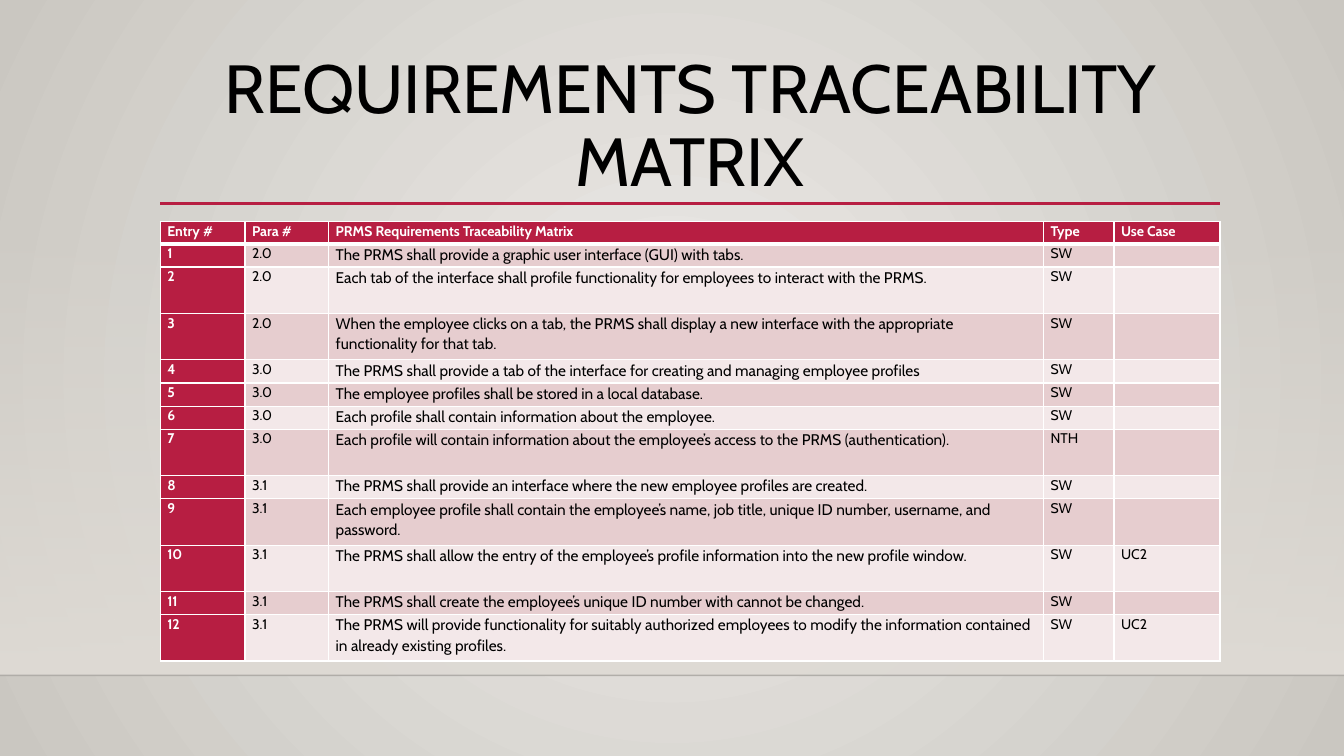
from lxml.etree import SubElement
from pptx import Presentation
from pptx.dml.color import RGBColor
from pptx.enum.shapes import MSO_CONNECTOR, MSO_SHAPE
from pptx.enum.text import MSO_ANCHOR, PP_ALIGN
from pptx.oxml.ns import qn
from pptx.util import Inches, Pt

FONT = "Cabin"
BLACK = RGBColor(0x00, 0x00, 0x00)
WHITE = RGBColor(0xFF, 0xFF, 0xFF)
CRIMSON = RGBColor(0xB7, 0x1E, 0x42)
ROSE = RGBColor(0xE6, 0xCD, 0xCF)
PALE_ROSE = RGBColor(0xF3, 0xE8, 0xE9)
SAND = RGBColor(0xDF, 0xDB, 0xD5)
BACKDROP_CENTER = RGBColor(0xEC, 0xEA, 0xE7)
BACKDROP_EDGE = RGBColor(0xCA, 0xC7, 0xC1)

SLIDE_WIDTH, SLIDE_HEIGHT = 13.33, 7.5
FLOOR_TOP = 6.7
CONTENT_LEFT, CONTENT_WIDTH = 1.59, 10.51

COLUMN_WIDTHS = [0.84, 0.83, 7.09, 0.7, 1.05]
STATEMENT_COLUMN = 2
HEADER_HEIGHT, SINGLE, DOUBLE = 0.22, 0.23, 0.46
HEADINGS = ["Entry #", "Para #", "PRMS Requirements Traceability Matrix", "Type", "Use Case"]
# Row height, paragraph, statement, type, use case
REQUIREMENTS = [
    (SINGLE, "2.0", "The PRMS shall provide a graphic user interface (GUI) with tabs.", "SW", ""),
    (DOUBLE, "2.0", "Each tab of the interface shall profile functionality for employees "
     "to interact with the PRMS.", "SW", ""),
    (DOUBLE, "2.0", "When the employee clicks on a tab, the PRMS shall display a new interface "
     "with the appropriate functionality for that tab.", "SW", ""),
    (SINGLE, "3.0", "The PRMS shall provide a tab of the interface for creating and managing "
     "employee profiles", "SW", ""),
    (SINGLE, "3.0", "The employee profiles shall be stored in a local database.", "SW", ""),
    (SINGLE, "3.0", "Each profile shall contain information about the employee.", "SW", ""),
    (DOUBLE, "3.0", "Each profile will contain information about the employee’s access to the "
     "PRMS (authentication).", "NTH", ""),
    (SINGLE, "3.1", "The PRMS shall provide an interface where the new employee profiles are "
     "created.", "SW", ""),
    (DOUBLE, "3.1", "Each employee profile shall contain the employee’s name, job title, "
     "unique ID number, username, and password.", "SW", ""),
    (DOUBLE, "3.1", "The PRMS shall allow the entry of the employee’s profile information "
     "into the new profile window.", "SW", "UC2"),
    (SINGLE, "3.1", "The PRMS shall create the employee’s unique ID number with cannot be "
     "changed.", "SW", ""),
    (DOUBLE, "3.1", "The PRMS will provide functionality for suitably authorized employees to "
     "modify the information contained in already existing profiles.", "SW", "UC2"),
]


def set_gradient(fill, colors):
    fill.gradient()
    for stop, color in zip(fill.gradient_stops, colors):
        stop.color.rgb = color


def set_alpha(color_element, percent):
    SubElement(color_element, qn("a:alpha"), val=str(percent * 1000))


def add_rule(slide, left, top, width, color, weight):
    rule = slide.shapes.add_connector(
        MSO_CONNECTOR.STRAIGHT, Inches(left), Inches(top), Inches(left + width), Inches(top))
    rule.line.color.rgb = color
    rule.line.width = Pt(weight)
    SubElement(rule._element.spPr, qn("a:effectLst"))
    return rule


def add_backdrop(slide, width, floor_top):
    """Radial background, a wall fading in downwards, and the floor line."""
    set_gradient(slide.background.fill, [BACKDROP_CENTER, BACKDROP_EDGE])
    gradient = slide._element.find(".//" + qn("a:gradFill"))
    gradient.remove(gradient.find(qn("a:lin")))
    circle = SubElement(gradient, qn("a:path"), path="circle")
    SubElement(circle, qn("a:fillToRect"), l="50000", t="50000", r="50000", b="50000")

    wall_top = 2.21
    wall = slide.shapes.add_shape(
        MSO_SHAPE.RECTANGLE, 0, Inches(wall_top), Inches(width), Inches(floor_top - wall_top))
    wall.shadow.inherit = False
    wall.line.fill.background()
    set_gradient(wall.fill, [SAND, SAND])
    wall.fill.gradient_angle = 270
    set_alpha(wall._element.find(".//" + qn("a:srgbClr")), 0)

    floor_line = add_rule(slide, 0, floor_top, width, BLACK, 1)
    set_alpha(floor_line._element.find(".//" + qn("a:srgbClr")), 20)


def add_title(slide, left, top, width, height):
    title = slide.shapes.add_textbox(Inches(left), Inches(top), Inches(width), Inches(height))
    frame = title.text_frame
    frame.word_wrap = True
    frame.vertical_anchor = MSO_ANCHOR.TOP
    paragraph = frame.paragraphs[0]
    paragraph.text = "REQUIREMENTS TRACEABILITY MATRIX"
    paragraph.alignment = PP_ALIGN.CENTER
    paragraph.line_spacing = 0.9
    paragraph.font.name = FONT
    paragraph.font.size = Pt(48.6)
    paragraph.font.color.rgb = BLACK
    add_rule(slide, left, top + 1.53, width, CRIMSON, 2.5)


def set_borders(cell, top, bottom):
    """White cell borders; the side borders are 1 pt wide."""
    properties = cell._tc.get_or_add_tcPr()
    for tag, weight in (("a:lnL", 1), ("a:lnR", 1), ("a:lnT", top), ("a:lnB", bottom)):
        border = SubElement(properties, qn(tag), w=str(Pt(weight)))
        SubElement(SubElement(border, qn("a:solidFill")), qn("a:srgbClr"), val=str(WHITE))


def fill_cell(cell, text, row, column):
    is_header = row == 0
    is_strong = is_header or column == 0
    cell.margin_left = cell.margin_right = Inches(0.07)
    cell.margin_top = cell.margin_bottom = 0
    set_borders(cell, top=3 if row == 1 else 1, bottom=3 if is_header else 1)
    cell.fill.solid()
    cell.fill.fore_color.rgb = CRIMSON if is_strong else ROSE if row % 2 else PALE_ROSE

    paragraph = cell.text_frame.paragraphs[0]
    paragraph.text = text
    paragraph.line_spacing = 1.07
    paragraph.font.name = FONT
    paragraph.font.size = Pt(11 if column == STATEMENT_COLUMN and not is_header else 10)
    paragraph.font.bold = is_strong
    paragraph.font.color.rgb = WHITE if is_strong else BLACK


def add_matrix(slide, left, top, width):
    heights = [HEADER_HEIGHT] + [requirement[0] for requirement in REQUIREMENTS]
    rows = [HEADINGS] + [
        [str(entry), *details] for entry, (_, *details) in enumerate(REQUIREMENTS, 1)]
    matrix = slide.shapes.add_table(
        len(rows), len(HEADINGS), Inches(left), Inches(top),
        Inches(width), Inches(sum(heights))).table
    matrix.first_row = matrix.horz_banding = False
    for column, column_width in zip(matrix.columns, COLUMN_WIDTHS):
        column.width = Inches(column_width)
    for row, (height, texts) in enumerate(zip(heights, rows)):
        matrix.rows[row].height = Inches(height)
        for column, text in enumerate(texts):
            fill_cell(matrix.cell(row, column), text, row, column)


def main():
    presentation = Presentation()
    presentation.slide_width = Inches(SLIDE_WIDTH)
    presentation.slide_height = Inches(SLIDE_HEIGHT)
    slide = presentation.slides.add_slide(presentation.slide_layouts[6])
    add_backdrop(slide, SLIDE_WIDTH, FLOOR_TOP)
    add_title(slide, CONTENT_LEFT, 0.49, CONTENT_WIDTH, 1.15)
    add_matrix(slide, CONTENT_LEFT, 2.2, CONTENT_WIDTH)
    presentation.save("out.pptx")


if __name__ == "__main__":
    main()
